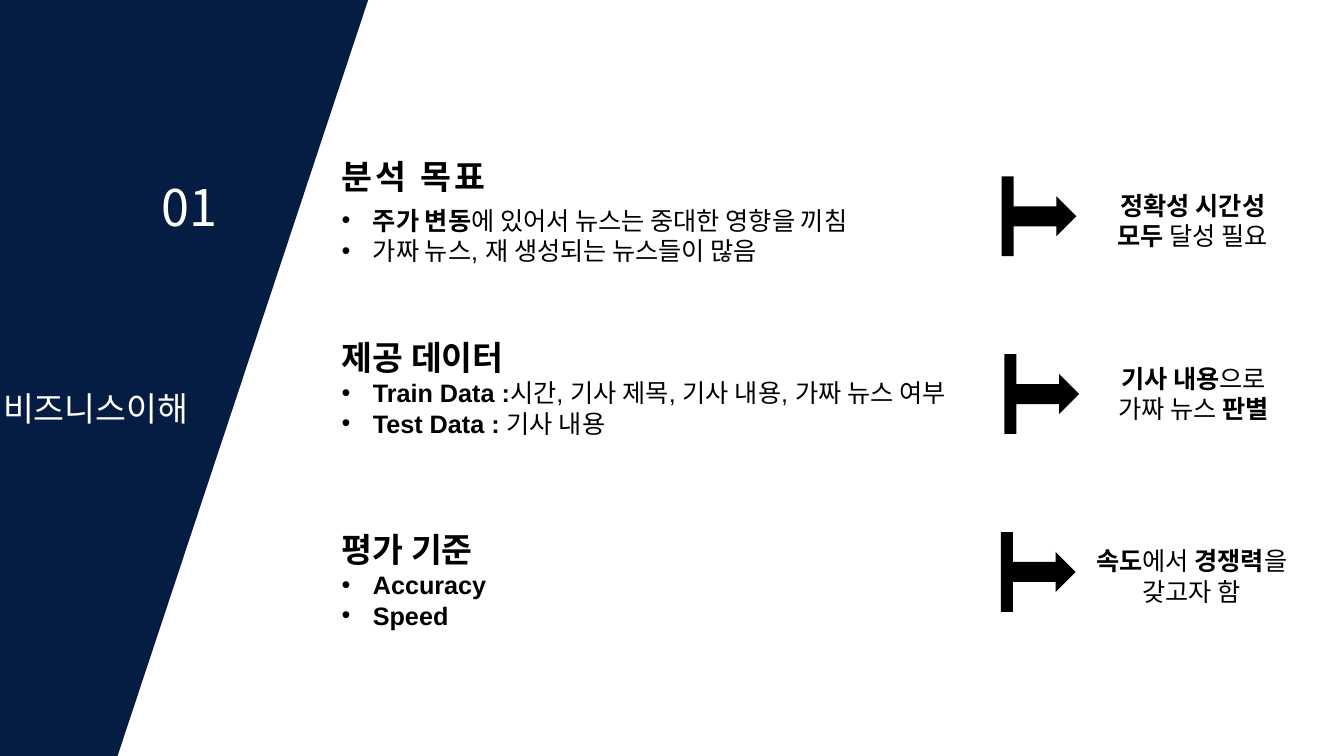
from dataclasses import dataclass

from lxml import etree
from pptx import Presentation
from pptx.dml.color import RGBColor
from pptx.enum.shapes import MSO_SHAPE
from pptx.enum.text import MSO_ANCHOR, PP_ALIGN
from pptx.oxml.ns import qn
from pptx.util import Pt

RECTANGLE, RIGHT_ARROW = MSO_SHAPE.RECTANGLE, MSO_SHAPE.RIGHT_ARROW
TOP, LEFT, CENTER = MSO_ANCHOR.TOP, PP_ALIGN.LEFT, PP_ALIGN.CENTER
COLORS = {"navy": "051C43", "white": "FFFFFF", "black": "000000"}
LATIN, KOREAN = "Arial", "Noto Sans CJK KR"
BODY_LINE, HEADING_LINE = 21.7, 33.8
BULLET_INDENT = 22.3


@dataclass
class Span:
    text: str
    bold: bool = False


@dataclass
class Section:
    heading: str
    bullets: list[list[Span]]
    space_before: float = 0
    space_after: float = 0
    tracking: float = 0


@dataclass
class Conclusion:
    bar_left: float
    bar_top: float
    note_left: float
    note_top: float
    note_width: float
    lines: list[list[Span]]


SECTIONS = [
    Section("분석 목표", [
        [Span("주가 변동", True), Span("에 있어서 뉴스는 중대한 영향을 끼침")],
        [Span("가짜 뉴스, 재 생성되는 뉴스들이 많음")],
    ], space_after=6, tracking=2.2),
    Section("제공 데이터", [
        [Span("Train Data :", True), Span("시간, 기사 제목, 기사 내용, 가짜 뉴스 여부")],
        [Span("Test Data : ", True), Span("기사 내용")],
    ], space_before=46),
    Section("평가 기준", [[Span("Accuracy", True)], [Span("Speed", True)]], space_before=60),
]
CONCLUSIONS = [
    Conclusion(715.5, 126, 783.5, 132, 137, [
        [Span("정확성 시간성", True)],
        [Span("모두", True), Span(" 달성 필요")],
    ]),
    Conclusion(717.5, 253, 784, 255.8, 137, [
        [Span("기사 내용", True), Span("으로")],
        [Span("가짜 뉴스 "), Span("판별", True)],
    ]),
    Conclusion(715, 380, 768, 386, 166.5, [
        [Span("속도", True), Span("에서 "), Span("경쟁력", True), Span("을")],
        [Span("갖고자 함")],
    ]),
]


def color(name: str) -> RGBColor:
    return RGBColor.from_string(COLORS[name])


def paint(shape, name: str) -> None:
    shape.shadow.inherit = False
    shape.fill.solid()
    shape.fill.fore_color.rgb = color(name)
    shape.line.fill.background()


def place(shape, left: float, top: float, width: float, height: float) -> None:
    shape.left, shape.top, shape.width, shape.height = map(Pt, (left, top, width, height))


def add_box(page, left: float, top: float, width: float, height: float):
    box = page.shapes.add_textbox(Pt(left), Pt(top), Pt(width), Pt(height))
    box.text_frame.word_wrap = True
    return box.text_frame


def write(para, spans: list[Span], size: float, font: str, ink: str, line: float,
          align=LEFT) -> None:
    para.alignment = align
    para.line_spacing = Pt(line)
    para.font.size = Pt(size)
    para.font.color.rgb = color(ink)
    para.font.name = font
    defaults = para._p.pPr.find(qn("a:defRPr"))
    etree.SubElement(defaults, qn("a:ea")).set("typeface", KOREAN)
    for span in spans:
        run = para.add_run()
        run.text = span.text
        run.font.bold = span.bold


def add_bullet(para) -> None:
    properties = para._p.get_or_add_pPr()
    properties.set("marL", str(Pt(BULLET_INDENT)))
    properties.set("indent", str(-Pt(BULLET_INDENT)))
    etree.SubElement(properties, qn("a:buFont")).set("typeface", LATIN)
    etree.SubElement(properties, qn("a:buChar")).set("char", "•")


def draw_side_panel(page) -> None:
    builder = page.shapes.build_freeform(0, 0, scale=Pt(1))
    builder.add_line_segments([(263, 0), (84, 540), (0, 540)])
    paint(builder.convert_to_shape(), "navy")


def draw_titles(page) -> None:
    number = add_box(page, 108.5, 121.7, 60, 51)
    write(number.paragraphs[0], [Span("01")], 36, KOREAN, "white", 44)
    title = page.shapes.title
    place(title, -5, 273, 160, 36)
    title.text_frame.word_wrap = True
    title.text_frame.vertical_anchor = TOP
    write(title.text_frame.paragraphs[0], [Span("비즈니스이해")], 24, KOREAN, "white", 29)


def draw_sections(page) -> None:
    frame = add_box(page, 244, 106.5, 471.5, 302)
    frame.margin_left = frame.margin_right = frame.margin_top = frame.margin_bottom = 0
    for index, section in enumerate(SECTIONS):
        heading = frame.add_paragraph() if index else frame.paragraphs[0]
        heading.space_before = Pt(section.space_before)
        heading.space_after = Pt(section.space_after)
        write(heading, [Span(section.heading, True)], 24, LATIN, "black", HEADING_LINE)
        if section.tracking:
            heading.runs[0].font._element.set("spc", str(int(section.tracking * 100)))
        for spans in section.bullets:
            para = frame.add_paragraph()
            add_bullet(para)
            write(para, spans, 18, LATIN, "black", BODY_LINE)


def draw_conclusion(page, item: Conclusion) -> None:
    bar = page.shapes.add_shape(RECTANGLE, 0, 0, 0, 0)
    place(bar, item.bar_left, item.bar_top, 8.5, 57)
    arrow = page.shapes.add_shape(RIGHT_ARROW, 0, 0, 0, 0)
    place(arrow, item.bar_left + 4.3, item.bar_top + 14.2, 49, 28.6)
    for shape in (bar, arrow):
        paint(shape, "black")
    frame = add_box(page, item.note_left, item.note_top, item.note_width, 51)
    for index, spans in enumerate(item.lines):
        para = frame.add_paragraph() if index else frame.paragraphs[0]
        write(para, spans, 18, KOREAN, "black", BODY_LINE, CENTER)


def main() -> None:
    deck = Presentation()
    deck.slide_width, deck.slide_height = Pt(960), Pt(540)
    page = deck.slides.add_slide(deck.slide_layouts.get_by_name("Title Only"))
    # The title is drawn over the panel, so the panel goes to the back.
    draw_side_panel(page)
    page.shapes._spTree.append(page.shapes.title._element)
    draw_titles(page)
    draw_sections(page)
    for item in CONCLUSIONS:
        draw_conclusion(page, item)
    deck.save("out.pptx")


if __name__ == "__main__":
    main()
